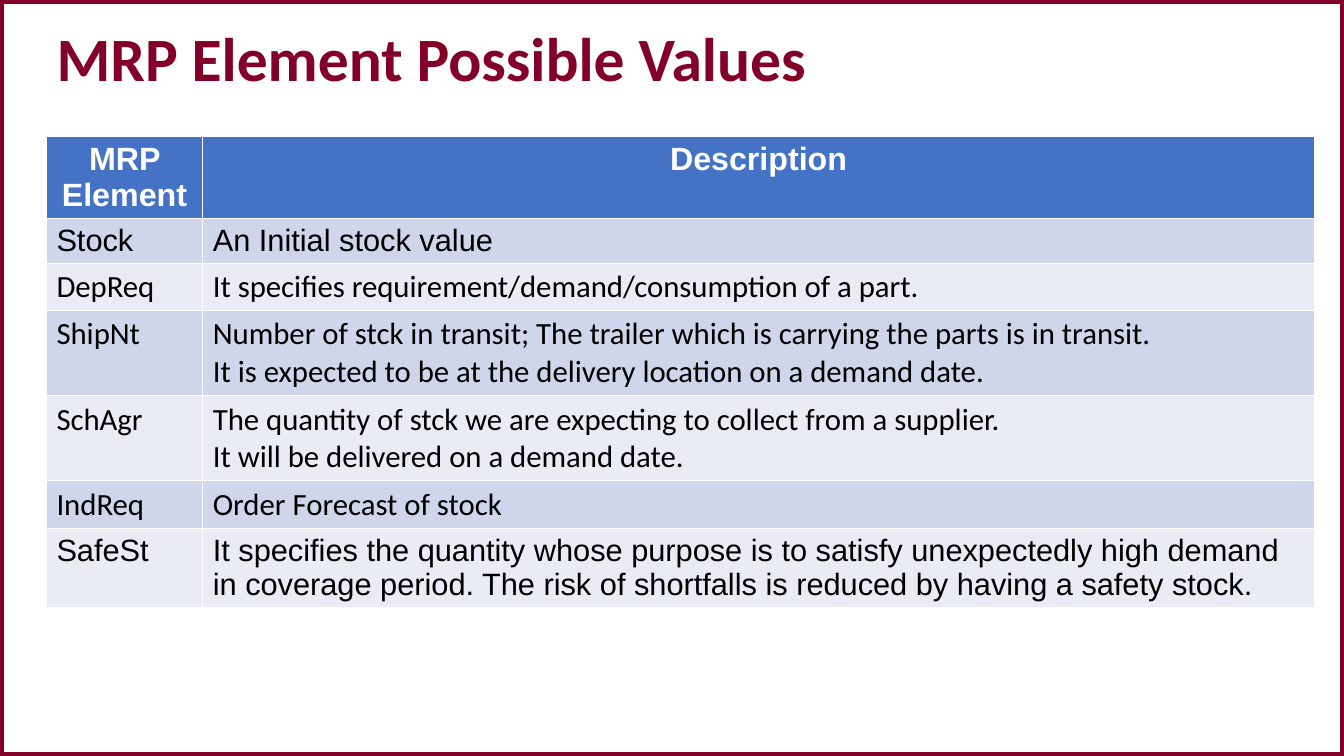
import dataclasses

import pptx
import pptx.dml.color
import pptx.enum.shapes
import pptx.enum.text
import pptx.util

Cm = pptx.util.Cm
Align = pptx.enum.text.PP_ALIGN


@dataclasses.dataclass(frozen=True)
class Theme:
    """Colours, fonts and type sizes of the slide."""
    maroon: str = "830028"
    white: str = "FFFFFF"
    black: str = "000000"
    header: str = "4472C4"
    bands: tuple = ("CFD5EA", "E9EBF5")
    sans: str = "Arial"
    humanist: str = "Calibri"
    title_size: int = 44
    header_size: int = 23
    body_size: int = 22
    frame_width: int = 6


@dataclasses.dataclass(frozen=True)
class Box:
    """A rectangle in centimetres."""
    left: float
    top: float
    width: float
    height: float

    def lengths(self):
        """Return left, top, width and height as lengths."""
        return [Cm(side) for side in dataclasses.astuple(self)]


THEME = Theme()
SLIDE = Box(0, 0, 33.87, 19.05)
TITLE = Box(1.17, 0.38, 31.57, 2.36)
TABLE = Box(1.17, 3.43, 31.96, 7.28)
ELEMENT_WIDTH = 3.94

HEADINGS = ("MRP Element", "Description")
ELEMENTS = [
    ("Stock", ["An Initial stock value"], THEME.sans),
    ("DepReq", ["It specifies requirement/demand/consumption of a part."], THEME.humanist),
    ("ShipNt", ["Number of stck in transit; The trailer which is carrying the parts is in transit.",
                "It is expected to be at the delivery location on a demand date."], THEME.humanist),
    ("SchAgr", ["The quantity of stck we are expecting to collect from a supplier.",
                "It will be delivered on a demand date."], THEME.humanist),
    ("IndReq", ["Order Forecast of stock"], THEME.humanist),
    ("SafeSt", ["It specifies the quantity whose purpose is to satisfy unexpectedly high demand "
                "in coverage period. The risk of shortfalls is reduced by having a safety stock."],
     THEME.sans),
]


def colour(code):
    """Turn a hexadecimal code into a colour."""
    return pptx.dml.color.RGBColor.from_string(code)


def write(frame, lines, *, font, size, ink, bold=False, align=Align.LEFT, spacing=None):
    """Fill a text frame with one formatted paragraph per line."""
    for index, line in enumerate(lines):
        para = frame.add_paragraph() if index else frame.paragraphs[0]
        para.alignment = align
        para.line_spacing = spacing
        span = para.add_run()
        span.text = line
        span.font.name = font
        span.font.size = pptx.util.Pt(size)
        span.font.bold = bold
        span.font.color.rgb = colour(ink)


def add_frame(page, box):
    """Draw the maroon border around the page."""
    border = page.shapes.add_shape(pptx.enum.shapes.MSO_SHAPE.RECTANGLE, *box.lengths())
    border.shadow.inherit = False
    border.fill.background()
    border.line.color.rgb = colour(THEME.maroon)
    border.line.width = pptx.util.Pt(THEME.frame_width)
    page.shapes.title.element.addprevious(border.element)


def add_title(page, box, text):
    """Place and format the title placeholder."""
    title = page.shapes.title
    title.left, title.top, title.width, title.height = box.lengths()
    frame = title.text_frame
    frame.word_wrap = True
    frame.auto_size = pptx.enum.text.MSO_AUTO_SIZE.NONE
    frame.vertical_anchor = pptx.enum.text.MSO_ANCHOR.MIDDLE
    write(frame, [text], font=THEME.humanist, size=THEME.title_size, ink=THEME.maroon,
          bold=True, spacing=0.9)


def fill_cell(cell, lines, fill, **style):
    """Colour a table cell and write its text."""
    cell.fill.solid()
    cell.fill.fore_color.rgb = colour(fill)
    write(cell.text_frame, lines, **style)


def add_element_table(page, box):
    """Build the table of elements and their descriptions."""
    table = page.shapes.add_table(len(ELEMENTS) + 1, len(HEADINGS), *box.lengths()).table
    table.columns[0].width = Cm(ELEMENT_WIDTH)
    table.columns[1].width = Cm(box.width - ELEMENT_WIDTH)
    for column, heading in enumerate(HEADINGS):
        fill_cell(table.cell(0, column), [heading], THEME.header, font=THEME.sans,
                  size=THEME.header_size, ink=THEME.white, bold=True, align=Align.CENTER)
    for row, (name, description, font) in enumerate(ELEMENTS, start=1):
        band = THEME.bands[(row - 1) % len(THEME.bands)]
        for column, lines in enumerate(([name], description)):
            fill_cell(table.cell(row, column), lines, band, font=font,
                      size=THEME.body_size, ink=THEME.black)


def main():
    """Build and save the deck."""
    deck = pptx.Presentation()
    deck.slide_width, deck.slide_height = Cm(SLIDE.width), Cm(SLIDE.height)
    page = deck.slides.add_slide(deck.slide_layouts.get_by_name("Title Only"))
    add_frame(page, SLIDE)
    add_title(page, TITLE, "MRP Element Possible Values")
    add_element_table(page, TABLE)
    deck.save("out.pptx")


if __name__ == "__main__":
    main()
